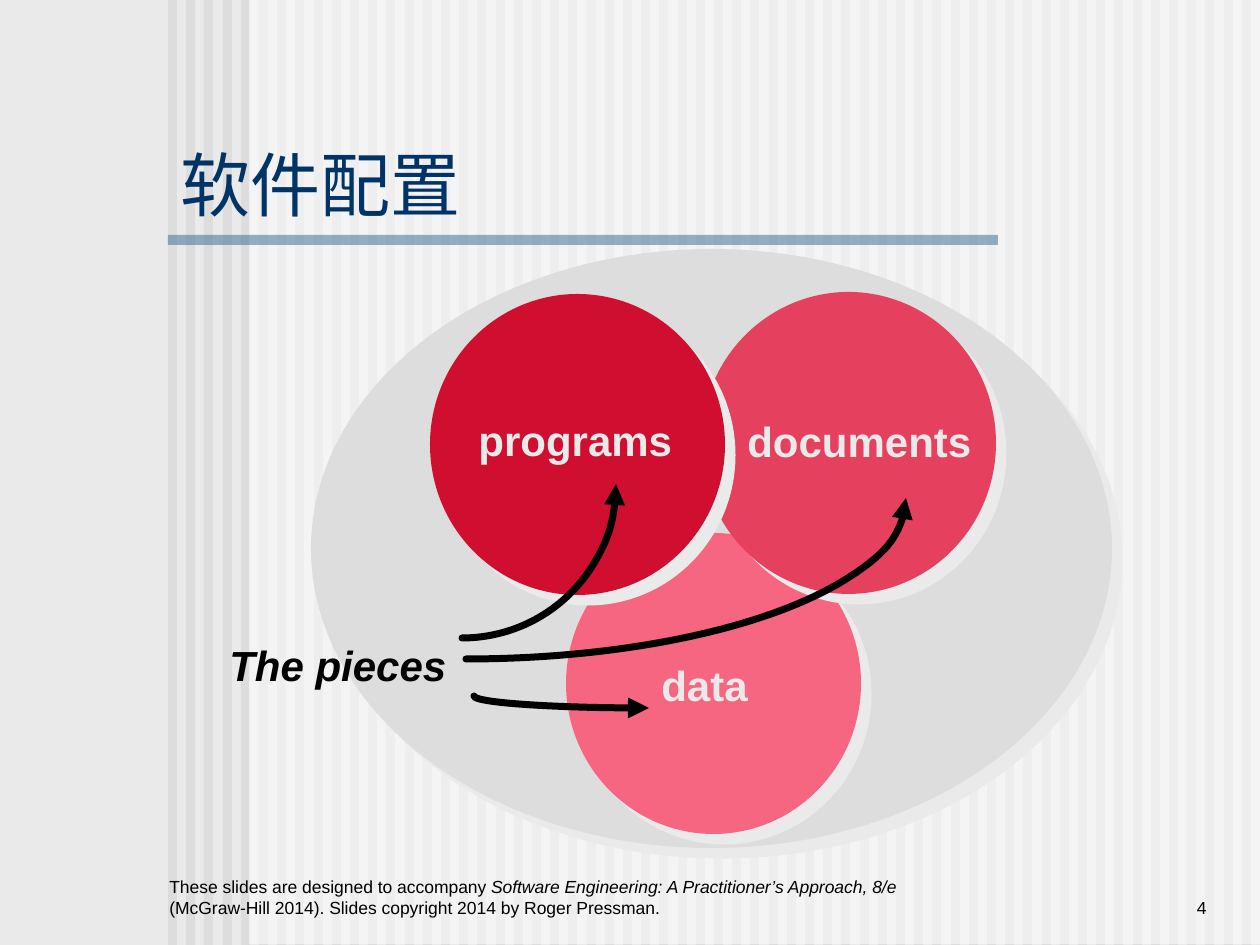
from dataclasses import dataclass
from lxml.etree import SubElement
from pptx import Presentation
from pptx.dml.color import RGBColor
from pptx.enum.shapes import MSO_SHAPE
from pptx.enum.text import MSO_ANCHOR, MSO_AUTO_SIZE, PP_ALIGN
from pptx.oxml.ns import qn
from pptx.util import Pt

PX = 914400 / 126


@dataclass(frozen=True)
class Theme:
    font: str = "Arial"
    back: str = "EAEAEA"
    gray: str = "DDDDDD"
    white: str = "FFFFFF"
    rule: str = "336699"
    navy: str = "003366"
    black: str = "000000"
    rose: str = "F76681"
    red: str = "E5405D"
    deep: str = "CF0E30"
    title: int = 40
    label: int = 24
    foot: int = 10


theme = Theme()


def draw(parent, kind, box, color, alpha=None):
    """Add a borderless filled shape, with alpha in percent."""
    shape = parent.add_shape(kind, *[round(v * PX) for v in box])
    shape.shadow.inherit = False
    shape.line.fill.background()
    shape.fill.solid()
    shape.fill.fore_color.rgb = RGBColor.from_string(color)
    if alpha:
        tone = shape._element.spPr.find(".//" + qn("a:srgbClr"))
        SubElement(tone, qn("a:alpha"), val=str(alpha * 1000))
    return shape


def write(shape, runs, size, color, bold=None, wrap=True, anchor=MSO_ANCHOR.TOP):
    """Fill one paragraph with (text, italic) runs and return it."""
    frame = shape.text_frame
    frame.auto_size = MSO_AUTO_SIZE.NONE
    frame.word_wrap = wrap
    frame.vertical_anchor = anchor
    para = frame.paragraphs[0]
    para.alignment = PP_ALIGN.LEFT
    for text, italic in runs:
        run = para.add_run()
        run.text = text
        run.font.italic = italic
    para.font.name = theme.font
    para.font.size = Pt(size)
    para.font.bold = bold
    para.font.color.rgb = RGBColor.from_string(color)
    return para


deck = Presentation()
deck.slide_width = round(1260 * PX)
deck.slide_height = round(945 * PX)
slide = deck.slides.add_slide(deck.slide_layouts[5])
slide.background.fill.solid()
slide.background.fill.fore_color.rgb = RGBColor.from_string(theme.back)
shapes = slide.shapes

# Striped backdrop
group = shapes.add_group_shape().shapes
for i in range(60):
    draw(group, MSO_SHAPE.RECTANGLE, (168 + round(i * 18.2), 0, 9, 945), theme.gray)
draw(group, MSO_SHAPE.RECTANGLE, (249, -1, 1011, 945), theme.white, 50)
draw(group, MSO_SHAPE.RECTANGLE, (168, 235, 830, 10), theme.rule, 50)

# Title, raised above the backdrop
title = shapes.title
shapes._spTree.append(title._element)
title.left, title.top, title.width, title.height = [
    round(v * PX) for v in (168, 147, 949, 74)]
write(title, [("软件配置", None)], theme.title, theme.navy, anchor=MSO_ANCHOR.MIDDLE)

# Footer and slide number
foot = [
    ("These slides are designed to accompany ", None),
    ("Software Engineering: A Practitioner’s Approach, 8/e ", True),
    ("(McGraw-Hill 2014). Slides copyright 2014 by Roger Pressman.", None),
]
for box, runs, align in [
    ((1040, 861, 179, 63), [("4", None)], PP_ALIGN.RIGHT),
    ((157, 861, 756, 63), foot, PP_ALIGN.LEFT),
]:
    area = shapes.add_textbox(*[round(v * PX) for v in box])
    para = write(area, runs, theme.foot, theme.black, anchor=MSO_ANCHOR.BOTTOM)
    para.alignment = align

# Ellipses with hard offset shadows
for box, color in [
    ((311, 249, 801, 599), theme.gray),
    ((566, 533, 295, 301), theme.rose),
    ((701, 292, 295, 302), theme.red),
    ((430, 294, 295, 301), theme.deep),
]:
    oval = draw(shapes, MSO_SHAPE.OVAL, box, color)
    effect = oval._element.spPr.find(qn("a:effectLst"))
    shade = SubElement(effect, qn("a:outerShdw"), blurRad="0",
                       dist=str(Pt(8.5)), dir="2700000", algn="ctr", rotWithShape="0")
    SubElement(shade, qn("a:srgbClr"), val=theme.back)

# Labels
for text, box, color, italic in [
    ("programs", (466, 408, 219, 63), theme.back, None),
    ("documents", (735, 409, 249, 63), theme.back, None),
    ("data", (649, 653, 111, 63), theme.back, None),
    ("The pieces", (217, 633, 242, 63), theme.black, True),
]:
    area = shapes.add_textbox(*[round(v * PX) for v in box])
    write(area, [(text, italic)], theme.label, color, bold=True, wrap=False)

# Curved arrows: quarter ellipses given by centre, radii and start angle
for x, y, rx, ry, start in [
    (649, 696, 175, 12, 90),
    (466, 498, 440, 161, 0),
    (462, 484, 154, 154, 0),
]:
    arc = draw(shapes, MSO_SHAPE.ARC, (x - rx, y - ry, 2 * rx, 2 * ry), theme.black)
    arc.fill.background()
    arc.adjustments[0] = start * 0.6
    arc.adjustments[1] = (start + 90) * 0.6
    arc.line.color.rgb = RGBColor.from_string(theme.black)
    arc.line.width = Pt(4)
    line = arc.line._get_or_add_ln()
    line.set("cap", "rnd")
    SubElement(line, qn("a:headEnd"), type="triangle")

deck.save("out.pptx")
